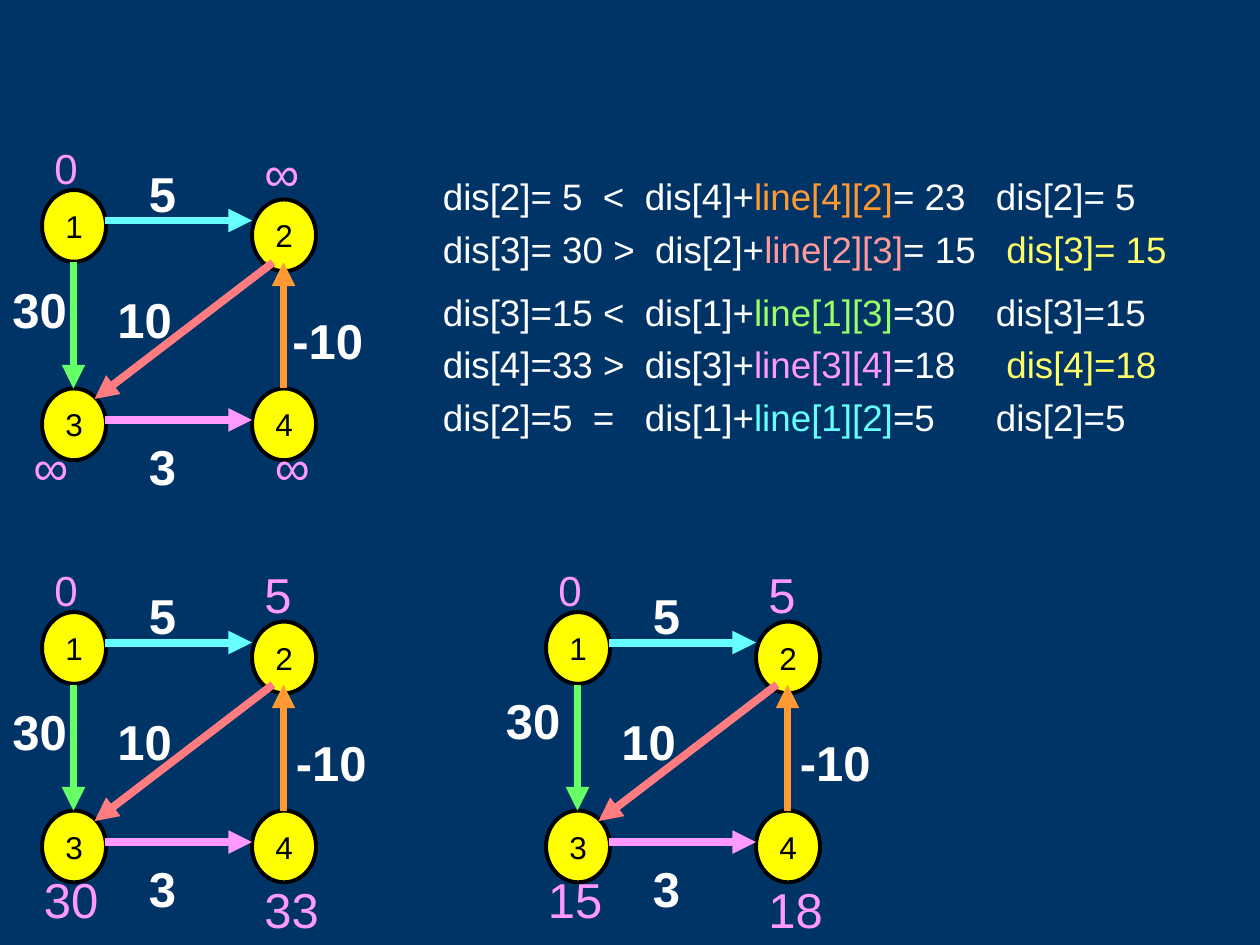
"""Build a slide that traces shortest distances on a four-node weighted graph."""
import pptx
import pptx.dml.color
import pptx.enum.shapes
import pptx.enum.text
import pptx.oxml
import pptx.oxml.ns
import pptx.util
from lxml import etree

Pt = pptx.util.Pt
qn = pptx.oxml.ns.qn

WHITE, BLACK, NODE_YELLOW, RESULT_YELLOW = "FFFFFF", "000000", "FFFF00", "FFFF66"
GREEN, PINK, ORANGE, RED, CYAN = "66FF66", "FF99FF", "FF9933", "FF7C80", "66FFFF"


def color(hex_string):
    return pptx.dml.color.RGBColor.from_string(hex_string)


def write(shape, parts, size, bold=False):
    text_frame = shape.text_frame
    text_frame.word_wrap = True
    text_frame.auto_size = pptx.enum.text.MSO_AUTO_SIZE.SHAPE_TO_FIT_TEXT
    paragraph = text_frame.paragraphs[0]
    for text, hex_string in parts:
        run = paragraph.add_run()
        run.text = text
        run.font.name = "Arial"
        run.font.size = Pt(size)
        run.font.bold = bold
        run.font.color.rgb = color(hex_string)
    return paragraph


nodes = [("1", 24, 108.6), ("2", 144, 114), ("3", 24, 222), ("4", 144, 222)]
edges = [
    (42, 150, 42, 222, GREEN),
    (60, 240, 144, 240, PINK),
    (162, 222, 162, 150, ORANGE),
    (156, 150, 54, 228, RED),
    (60, 126, 144, 126, CYAN),
]
weights = [("5", 78, 90), ("3", 78, 246), ("10", 60, 162)]

# (left, top) of the graph, then its moved weights, then its distances
graphs = [
    (0, 0, [("30", 0, 156), ("-10", 160, 174)],
     [("∞", 144, 78, 36), ("∞", 150, 246, 36), ("∞", 12, 246, 42)]),
    (0, 241.2, [("30", 0, 156), ("-10", 162, 174)],
     [("5", 144, 78, 36), ("33", 144, 258, 48), ("30", 18, 252, 54)]),
    (288, 241.2, [("30", -6, 150), ("-10", 162, 174)],
     [("5", 144, 78, 36), ("18", 144, 258, 48), ("15", 18, 252, 54)]),
]

comparisons = [
    (96, 426, [91.4, 115.4, 316],
     [("dis[2]= 5\t<\tdis[4]+", WHITE), ("line[4][2]", ORANGE), ("= 23\tdis[2]= 5", WHITE)]),
    (126, 450, [121.2, 322],
     [("dis[3]= 30 >\tdis[2]+", WHITE), ("line[2][3]", "FF9999"), ("= 15\t", WHITE),
      ("dis[3]= 15", RESULT_YELLOW)]),
    (162, 432, [115.4, 316],
     [("dis[3]=15 <\tdis[1]+", WHITE), ("line[1][3]", "99FF66"), ("=30\tdis[3]=15", WHITE)]),
    (192, 438, [115.4, 322],
     [("dis[4]=33 >\tdis[3]+", WHITE), ("line[3][4]", PINK), ("=18\t", WHITE),
      ("dis[4]=18", RESULT_YELLOW)]),
    (222, 420, [85.7, 115.4, 316],
     [("dis[2]=5\t=\tdis[1]+", WHITE), ("line[1][2]", CYAN), ("=5\tdis[2]=5", WHITE)]),
]

presentation = pptx.Presentation()
presentation.slide_width = Pt(720)
presentation.slide_height = Pt(540)
slide = presentation.slides.add_slide(presentation.slide_layouts[6])
slide.background.fill.solid()
slide.background.fill.fore_color.rgb = color("003366")
shapes = slide.shapes

for graph_left, graph_top, moved_weights, distances in graphs:
    for name, left, top in nodes:
        node = shapes.add_shape(
            pptx.enum.shapes.MSO_SHAPE.OVAL,
            Pt(graph_left + left), Pt(graph_top + top), Pt(36.6), Pt(41))
        node.shadow.inherit = False
        node.fill.solid()
        node.fill.fore_color.rgb = color(NODE_YELLOW)
        node.line.color.rgb = color(BLACK)
        node.line.width = Pt(2.25)
        node.text_frame.vertical_anchor = pptx.enum.text.MSO_ANCHOR.MIDDLE
        paragraph = write(node, [(name, BLACK)], 18)
        paragraph.alignment = pptx.enum.text.PP_ALIGN.CENTER

    for start_x, start_y, end_x, end_y, hex_string in edges:
        edge = shapes.add_connector(
            pptx.enum.shapes.MSO_CONNECTOR.STRAIGHT,
            Pt(graph_left + start_x), Pt(graph_top + start_y),
            Pt(graph_left + end_x), Pt(graph_top + end_y))
        edge.line.color.rgb = color(hex_string)
        edge.line.width = Pt(4.5)
        etree.SubElement(edge.line._get_or_add_ln(), qn("a:tailEnd"), type="triangle")
        etree.SubElement(edge._element.spPr, qn("a:effectLst"))

    labels = [(text, left, top, 66, 28, WHITE, True)
              for text, left, top in weights + moved_weights]
    labels.append(("0", 24, 78, 36, 24, PINK, False))
    labels += [(text, left, top, width, 28, PINK, False)
               for text, left, top, width in distances]
    for text, left, top, width, size, hex_string, bold in labels:
        label = shapes.add_textbox(
            Pt(graph_left + left), Pt(graph_top + top), Pt(width), Pt(41 if size == 28 else 36))
        write(label, [(text, hex_string)], size, bold)

for top, width, tab_stops, parts in comparisons:
    comparison = shapes.add_textbox(Pt(246), Pt(top), Pt(width), Pt(32.4))
    paragraph = write(comparison, parts, 21)
    tab_list = etree.SubElement(paragraph._p.get_or_add_pPr(), qn("a:tabLst"))
    for position in tab_stops:
        etree.SubElement(tab_list, qn("a:tab"), pos=str(int(Pt(position))), algn="l")

presentation.save("out.pptx")
